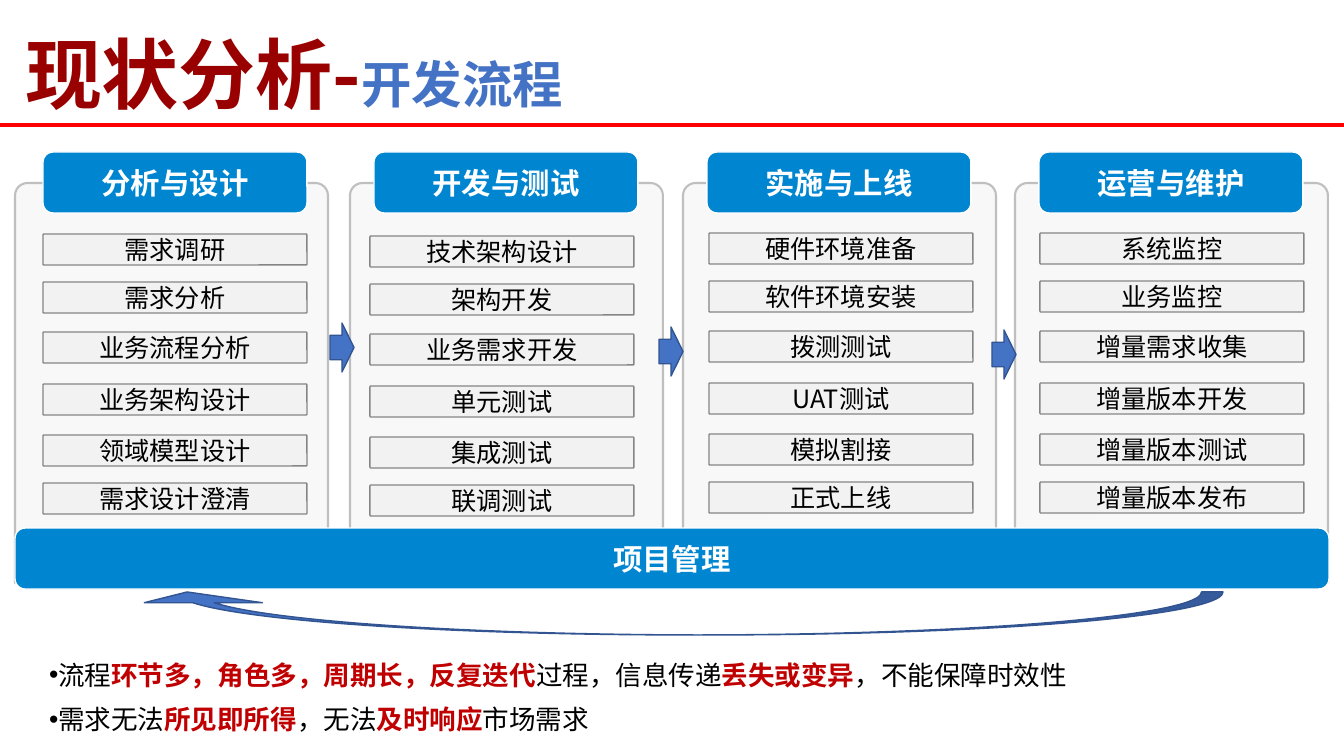
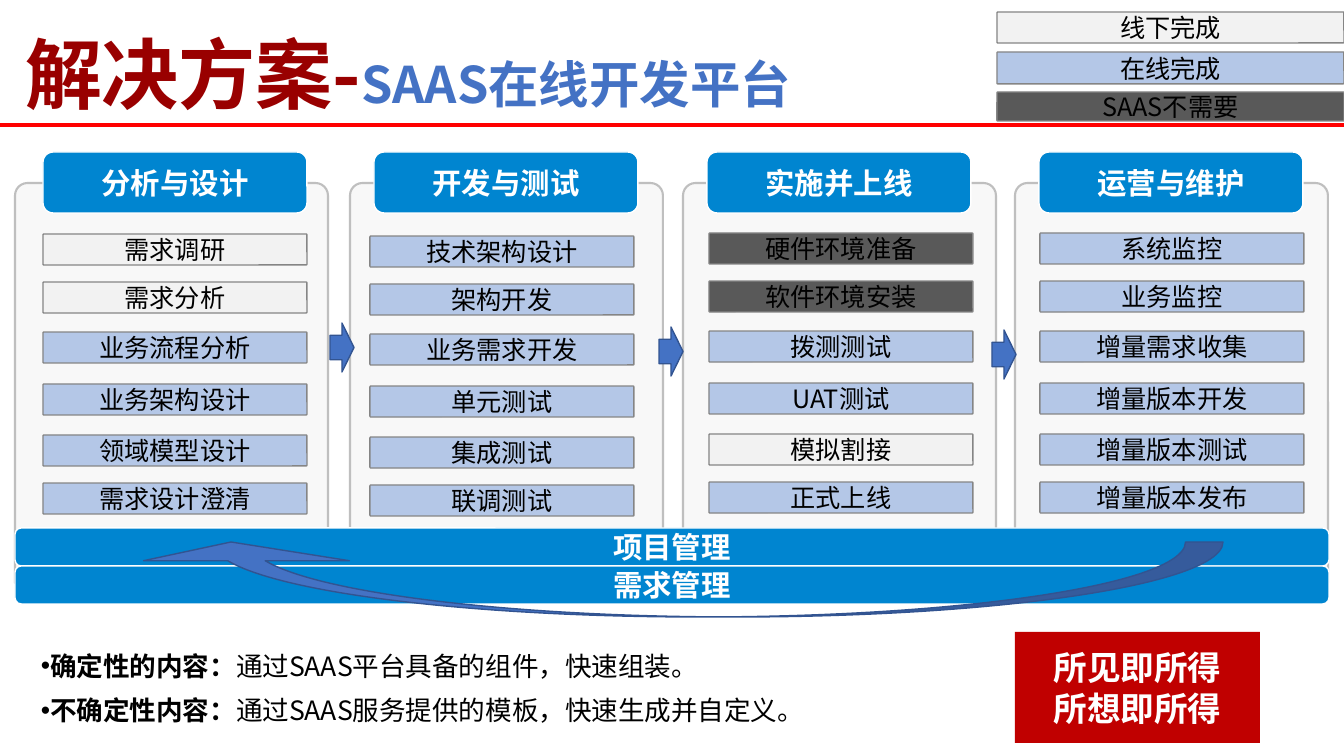
from lxml import etree
from pptx import Presentation
from pptx import util as u
from pptx.dml.color import RGBColor
from pptx.enum import shapes, text
from pptx.oxml.ns import qn

FONT = "Noto Sans CJK SC"
WHITE = RGBColor(255, 255, 255)
BLACK = RGBColor(0, 0, 0)
MAROON = RGBColor(0x99, 0, 0)
CRIMSON = RGBColor(0xC0, 0, 0)
RED = RGBColor(0xFF, 0, 0)
SKY = RGBColor(0, 0x85, 0xD0)
BLUE = RGBColor(0x44, 0x72, 0xC4)
NAVY = RGBColor(0x32, 0x54, 0x91)
PALE = RGBColor(0xB4, 0xC7, 0xE7)
LIGHT = RGBColor(0xF2, 0xF2, 0xF2)
SILVER = RGBColor(0xBF, 0xBF, 0xBF)
GRAY = RGBColor(0x85, 0x85, 0x85)
DARK = RGBColor(0x59, 0x59, 0x59)

WIDE, HIGH = 1344, 756
SCALE = 12192000 / WIDE
KIND = shapes.MSO_SHAPE
ALIGN = text.PP_ALIGN

# How a step is done: offline, online, or not needed
STATES = {"o": LIGHT, "n": PALE, "x": DARK}

# Steps of each phase: left of panel, header and steps, then top of steps
PHASES = [
    (15, 43, 43, 234, ["需求调研", "需求分析", "业务流程分析",
                       "业务架构设计", "领域模型设计", "需求设计澄清"]),
    (350, 374, 370, 236, ["技术架构设计", "架构开发", "业务需求开发",
                          "单元测试", "集成测试", "联调测试"]),
    (683, 707, 709, 233, ["硬件环境准备", "软件环境安装", "拨测测试",
                          "UAT测试", "模拟割接", "正式上线"]),
    (1015, 1039, 1040, 233, ["系统监控", "业务监控", "增量需求收集",
                             "增量版本开发", "增量版本测试", "增量版本发布"]),
]
ROWS = [0, 48, 98, 150, 201, 249]
ARROWS = [(330, 323), (659, 327), (992, 330)]


def px(n):
    return u.Emu(round(n * SCALE))


def write(frame, paras, size=18, color=BLACK, bold=False, align=ALIGN.LEFT,
          space=1.0, inset=(10, 5)):
    """Each paragraph is a list of (text, changes) runs."""
    frame.word_wrap = True
    frame.auto_size = text.MSO_AUTO_SIZE.NONE
    frame.margin_left = frame.margin_right = px(inset[0])
    frame.margin_top = frame.margin_bottom = px(inset[1])
    for i, runs in enumerate(paras):
        para = frame.add_paragraph() if i else frame.paragraphs[0]
        para.alignment, para.line_spacing = align, space
        for words, change in runs:
            run = para.add_run()
            run.text = words
            font = run.font
            font.name = FONT
            font.size = u.Pt(change.get("size", size))
            font.bold = change.get("bold", bold)
            font.color.rgb = change.get("color", color)
            east = etree.SubElement(font._element, qn("a:ea"))
            east.set("typeface", FONT)


def draw(slide, kind, box, fill, line=None, width=1, adj=()):
    shape = slide.shapes.add_shape(kind, *map(px, box))
    shape.shadow.inherit = False
    shape.fill.solid()
    shape.fill.fore_color.rgb = fill
    if line is None:
        shape.line.fill.background()
    else:
        shape.line.color.rgb = line
        shape.line.width = u.Pt(width)
    for i, value in enumerate(adj):
        shape.adjustments[i] = value
    return shape


def banner(slide, box, words):
    shape = draw(slide, KIND.ROUNDED_RECTANGLE, box, SKY, WHITE)
    write(shape.text_frame, [[(words, {})]], size=21, color=WHITE, bold=True,
          align=ALIGN.CENTER)


def step(slide, box, words, state):
    shape = draw(slide, KIND.ROUNDED_RECTANGLE, box, STATES[state], GRAY,
                 adj=[0.03])
    write(shape.text_frame, [[(words, {})]], align=ALIGN.CENTER, inset=(7, 4))


def title(slide, main, topic):
    head = slide.shapes.title
    head.left, head.top, head.width, head.height = map(px, (15, 20, 1314, 105))
    head.text_frame.vertical_anchor = text.MSO_ANCHOR.MIDDLE
    write(head.text_frame, [[(main, {}), (topic, {"size": 36, "color": BLUE})]],
          size=55, color=MAROON, bold=True)
    rule = slide.shapes.add_connector(shapes.MSO_CONNECTOR.STRAIGHT,
                                      0, px(125), px(WIDE), px(125))
    rule.line.color.rgb = RED
    rule.line.width = u.Pt(3)
    etree.SubElement(rule._element.spPr, qn("a:effectLst"))


def phase(slide, data, name, states):
    left, head, inner, top, steps = data
    panel = draw(slide, KIND.ROUND_2_SAME_RECTANGLE, (left, 183, 313, 400),
                 LIGHT, SILVER, 1.5, [0.04, 0])
    tint = panel._element.spPr.find(qn("a:solidFill"))[0]
    etree.SubElement(tint, qn("a:alpha")).set("val", "51000")
    banner(slide, (head, 152, 264, 61), name)
    for row, words, state in zip(ROWS, steps, states):
        step(slide, (inner, top + row, 264, 31), words, state)


def flow(slide, names, states):
    for data, name, marks in zip(PHASES, names, states):
        phase(slide, data, name, marks)
    for left, top in ARROWS:
        draw(slide, KIND.RIGHT_ARROW, (left, top, 24, 49), BLUE, NAVY)


def bars(slide, names, high):
    for i, name in enumerate(names):
        banner(slide, (15, 528 + i * high, 1314, high), name)


def loop(slide, box):
    """Box is the turned arrow as it shows."""
    left, top, wide, high = box
    frame = (left + (wide - high) / 2, top + (high - wide) / 2, high, wide)
    arrow = draw(slide, KIND.CURVED_LEFT_ARROW, frame, BLUE, NAVY,
                 adj=[0.5, 2.745, 0.25])
    arrow.rotation = 90


def points(slide, box, paras):
    area = slide.shapes.add_textbox(*map(px, box))
    write(area.text_frame, paras, size=19, space=1.4)
    for para in area.text_frame.paragraphs:
        props = para._p.get_or_add_pPr()
        props.set("marL", "0")
        props.set("indent", str(px(24)))
        etree.SubElement(props, qn("a:buFont")).set("typeface", "Arial")
        etree.SubElement(props, qn("a:buChar")).set("char", "•")


def legend(slide, left, wide):
    rows = [(12, 31, "线下完成", "o"), (52, 32, "在线完成", "n"),
            (92, 29, "SAAS不需要", "x")]
    for top, high, words, state in rows:
        step(slide, (left, top, wide, high), words, state)


def slogan(slide, box, lines):
    shape = draw(slide, KIND.RECTANGLE, box, CRIMSON)
    write(shape.text_frame, [[(line, {})] for line in lines], size=24,
          color=WHITE, bold=True, align=ALIGN.CENTER)


deck = Presentation()
deck.slide_width, deck.slide_height = px(WIDE), px(HIGH)
layout = deck.slide_layouts[5]
HOT = {"color": CRIMSON, "bold": True}
BOLD = {"bold": True}

# Slide 1: current process
now = deck.slides.add_slide(layout)
title(now, "现状分析-", "开发流程")
flow(now, ["分析与设计", "开发与测试", "实施与上线", "运营与维护"],
     ["oooooo"] * 4)
bars(now, ["项目管理"], 61)
loop(now, (128, 592, 1095, 43))
points(now, (15, 641, 1314, 101), [
    [("流程", {}), ("环节多，角色多，周期长，反复迭代", HOT),
     ("过程，信息传递", {}), ("丢失或变异", HOT), ("，不能保障时效性", {})],
    [("需求无法", {}), ("所见即所得", HOT), ("，无法", {}),
     ("及时响应", HOT), ("市场需求", {})],
])

# Slide 2: proposed platform
plan = deck.slides.add_slide(layout)
title(plan, "解决方案-", "SAAS在线开发平台")
flow(plan, ["分析与设计", "开发与测试", "实施并上线", "运营与维护"],
     ["oonnnn", "nnnnnn", "xxnnon", "nnnnnn"])
bars(plan, ["项目管理", "需求管理"], 38)
legend(plan, 997, 347)
points(plan, (7, 632, 1314, 96), [
    [("确定性的内容：", BOLD), ("通过SAAS平台具备的组件，快速组装。", {})],
    [("不确定性内容：", BOLD),
     ("通过SAAS服务提供的模板，快速生成并自定义。", {})],
])
loop(plan, (128, 542, 1095, 75))
slogan(plan, (1015, 632, 245, 111), ["所见即所得", "所想即所得"])

deck.save("out.pptx")
